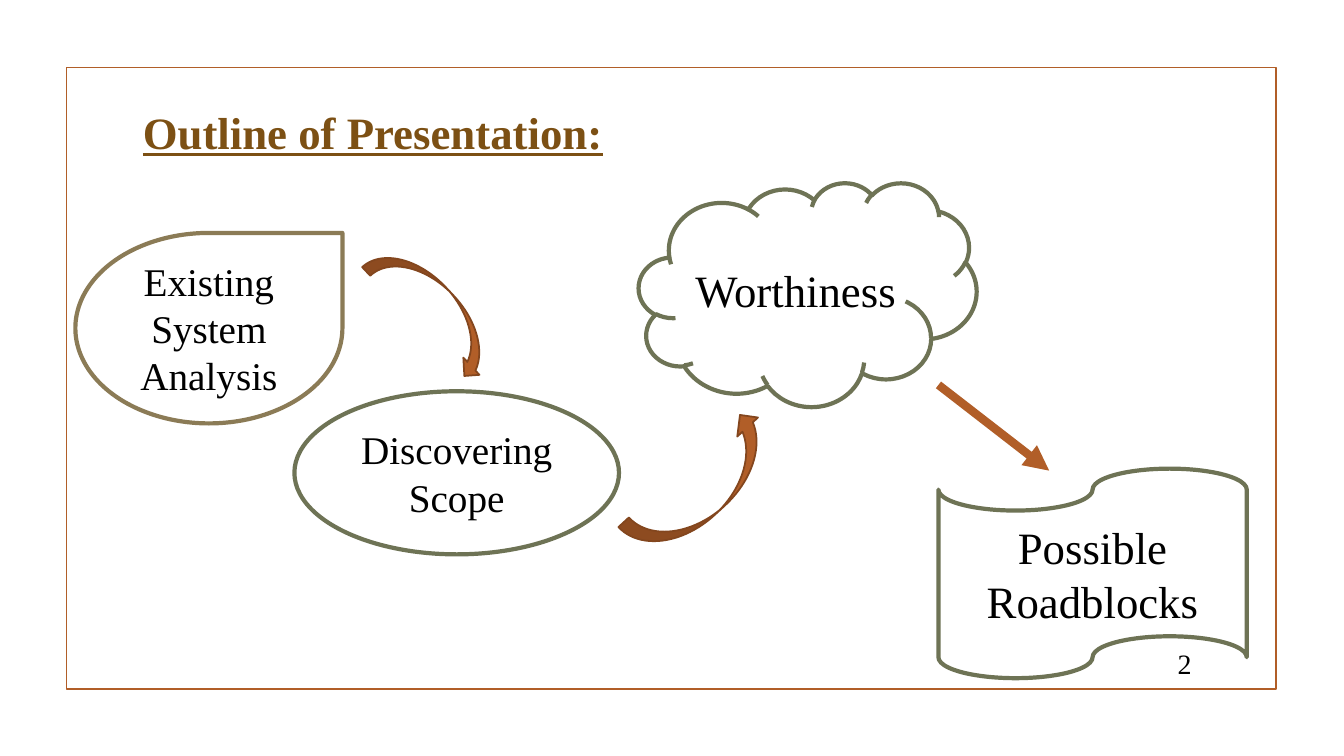
from dataclasses import dataclass

from lxml import etree
from pptx import Presentation
from pptx.dml.color import RGBColor
from pptx.enum.shapes import MSO_CONNECTOR, MSO_SHAPE
from pptx.enum.text import MSO_ANCHOR, PP_ALIGN
from pptx.oxml.ns import qn
from pptx.util import Cm, Pt

RECTANGLE = MSO_SHAPE.RECTANGLE
TEARDROP = MSO_SHAPE.TEAR
OVAL = MSO_SHAPE.OVAL
TAPE = MSO_SHAPE.FLOWCHART_PUNCHED_TAPE
CLOUD = MSO_SHAPE.CLOUD
CURVED_DOWN = MSO_SHAPE.CURVED_DOWN_ARROW
CURVED_UP = MSO_SHAPE.CURVED_UP_ARROW
STRAIGHT = MSO_CONNECTOR.STRAIGHT
MIDDLE = MSO_ANCHOR.MIDDLE
LEFT, CENTER, RIGHT = PP_ALIGN.LEFT, PP_ALIGN.CENTER, PP_ALIGN.RIGHT


@dataclass(frozen=True)
class Theme:
    """Colours, font and sizes of the deck."""
    font: str = "Times New Roman"
    white: str = "FFFFFF"
    ink: str = "000000"
    heading: str = "7C5014"
    rust: str = "B15E28"
    rust_dark: str = "83461E"
    tan: str = "8B7B56"
    olive: str = "6E7355"
    large: int = 32
    medium: int = 28
    small: int = 20
    thin: float = 1.25
    outline: int = 3
    thick: int = 6


THEME = Theme()


@dataclass(frozen=True)
class Box:
    """A rectangle in centimetres."""
    left: float
    top: float
    width: float
    height: float

    def inner(self, left, top, width, height):
        """Return a box placed relative to this one."""
        return Box(self.left + left, self.top + top, width, height)

    def lengths(self):
        """Return the four sides as slide lengths."""
        return [Cm(side) for side in (self.left, self.top, self.width, self.height)]


def write(shape, text, size, align=CENTER, color=THEME.ink, **formats):
    """Put one formatted paragraph into a shape."""
    frame = shape.text_frame
    frame.word_wrap = True
    frame.vertical_anchor = MIDDLE
    para = frame.paragraphs[0]
    para.text = text
    para.alignment = align
    formats = {"name": THEME.font, "size": Pt(size), **formats}
    for span in para.runs:
        span.font.color.rgb = RGBColor.from_string(color)
        for name, value in formats.items():
            setattr(span.font, name, value)


def add_outline(page, kind, box, fill, line, weight):
    """Draw a preset shape with its fill and line."""
    shape = page.shapes.add_shape(kind, *box.lengths())
    shape.shadow.inherit = False
    if fill:
        shape.fill.solid()
        shape.fill.fore_color.rgb = RGBColor.from_string(fill)
    else:
        shape.fill.background()
    shape.line.color.rgb = RGBColor.from_string(line)
    shape.line.width = Pt(weight)
    return shape


def add_label(page, box, text, size, align, **formats):
    """Add a text box."""
    write(page.shapes.add_textbox(*box.lengths()), text, size, align, **formats)


def add_topic(page, kind, box, text, size, line=THEME.olive):
    """Add an outlined topic."""
    shape = add_outline(page, kind, box, THEME.white, line, THEME.outline)
    write(shape, text, size)


def add_curve(page, kind, box, angle):
    """Add a turned curved arrow."""
    arrow = add_outline(page, kind, box, THEME.rust, THEME.rust_dark, THEME.thin)
    arrow.rotation = angle


def add_arrow(page, box):
    """Add a straight arrow across the diagonal of a box."""
    left, top, width, height = box.lengths()
    arrow = page.shapes.add_connector(STRAIGHT, left, top, left + width, top + height)
    arrow.line.color.rgb = RGBColor.from_string(THEME.rust)
    arrow.line.width = Pt(THEME.thick)
    etree.SubElement(arrow.line._get_or_add_ln(), qn("a:tailEnd"), type="triangle")
    etree.SubElement(arrow._element.spPr, qn("a:effectLst"))


def add_frame(page, box):
    """Draw the page border and its heading."""
    add_outline(page, RECTANGLE, box, None, THEME.rust, THEME.thin)
    add_label(page, box.inner(1.67, -0.3, 23.98, 3.84), "Outline of Presentation:",
              THEME.large, LEFT, color=THEME.heading, bold=True, underline=True)


def add_journey(page, box):
    """Draw the four topics and the arrows between them."""
    add_topic(page, TEARDROP, box.inner(0.22, 4.17, 6.73, 4.8),
              "Existing System Analysis", THEME.medium, THEME.tan)
    add_curve(page, CURVED_DOWN, box.inner(7.24, 5.51, 4.06, 1.19), 46.8)
    add_topic(page, OVAL, box.inner(5.74, 8.16, 8.18, 4.11),
              "Discovering\vScope", THEME.medium)
    add_curve(page, CURVED_UP, box.inner(13.79, 9.86, 4.52, 1.42), 317.3)
    add_topic(page, TAPE, box.inner(21.97, 10.11, 7.77, 5.28),
              "Possible Roadblocks", THEME.large)
    add_topic(page, CLOUD, box.inner(14.42, 2.9, 8.51, 5.64),
              "Worthiness", THEME.large)
    add_arrow(page, box.inner(21.97, 8, 2.79, 2.16))


def add_page_number(page, box):
    """Write the page number near the lower right corner."""
    add_label(page, box.inner(26.67, 14.38, 1.93, 1.27), "2", THEME.small, RIGHT)


def main():
    """Build and save the deck."""
    deck = Presentation()
    deck.slide_width, deck.slide_height = Cm(33.87), Cm(19.05)
    page = deck.slides.add_slide(deck.slide_layouts[6])
    border = Box(1.68, 1.7, 30.48, 15.67)
    for region in (add_frame, add_journey, add_page_number):
        region(page, border)
    deck.save("out.pptx")


if __name__ == "__main__":
    main()
